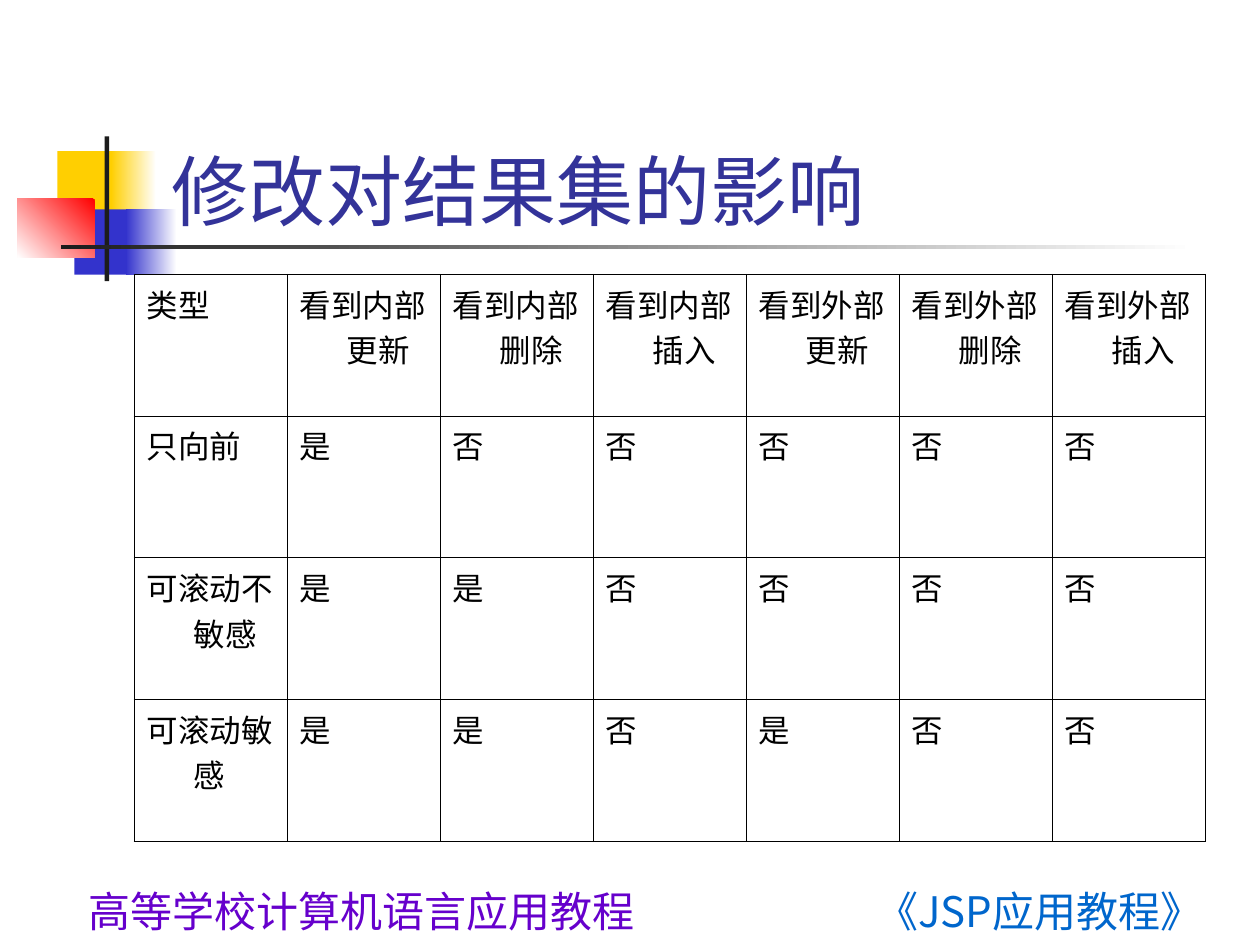
from lxml import etree
from pptx import Presentation
from pptx.dml.color import RGBColor
from pptx.enum.shapes import MSO_SHAPE
from pptx.enum.text import MSO_ANCHOR, PP_ALIGN
from pptx.oxml.ns import qn
from pptx.util import Cm, Pt

RECT = MSO_SHAPE.RECTANGLE
LEFT, CENTER = PP_ALIGN.LEFT, PP_ALIGN.CENTER
BOTTOM = MSO_ANCHOR.BOTTOM
CJK_FONT = "Noto Sans CJK SC"
COLORS = {
    "white": "FFFFFF", "yellow": "FFCF01", "blue": "3333CC", "red": "FF0000",
    "dark": "1C1C1C", "title": "333399", "book": "0066CC",
    "series": "6600CC", "black": "000000",
}


def format_text(paragraph, size, font, color):
    for run in paragraph.runs:
        run.font.size = Pt(size)
        run.font.name = font
        run.font.color.rgb = RGBColor.from_string(COLORS[color])
        east_asian = etree.SubElement(run.font._element, qn("a:ea"))
        east_asian.set("typeface", CJK_FONT)


def add_border(cell, width, color):
    properties = cell._tc.get_or_add_tcPr()
    for index, side in enumerate(("lnL", "lnR", "lnT", "lnB")):
        line = etree.Element(qn(f"a:{side}"), w=str(Pt(width)))
        fill = etree.SubElement(line, qn("a:solidFill"))
        etree.SubElement(fill, qn("a:srgbClr"), val=COLORS[color])
        properties.insert(index, line)


presentation = Presentation()
presentation.slide_width, presentation.slide_height = Cm(25.4), Cm(19.05)
slide = presentation.slides.add_slide(presentation.slide_layouts[5])
shapes = slide.shapes

# Coloured blocks and crossing bars: left, top, width, height, colours, angle
decorations = [
    (1.16, 3.05, 1.22, 1.32, ["yellow"], 0),
    (2.24, 3.05, 0.91, 1.32, ["white", "yellow"], 180),
    (1.5, 4.22, 1.17, 1.32, ["blue"], 0),
    (2.54, 4.22, 1.02, 1.32, ["white", "blue"], 180),
    (0.35, 4.01, 1.56, 1.18, ["red", "white"], 225),
    (2.11, 2.75, 0.09, 2.92, ["dark"], 0),
    (1.23, 4.94, 22.86, 0.09, ["white", "dark"], 180),
]
for left, top, width, height, names, angle in decorations:
    block = shapes.add_shape(RECT, Cm(left), Cm(top), Cm(width), Cm(height))
    block.shadow.inherit = False
    block.line.fill.background()
    if len(names) == 1:
        block.fill.solid()
        block.fill.fore_color.rgb = RGBColor.from_string(COLORS[names[0]])
    else:
        block.fill.gradient()
        block.fill.gradient_angle = angle
        for stop, name in zip(block.fill.gradient_stops, names):
            stop.color.rgb = RGBColor.from_string(COLORS[name])

# Footer lines
footers = [
    ("《JSP应用教程》", 16.51, 8.89, "book"),
    ("高等学校计算机语言应用教程", 0.89, 12.8, "series"),
]
for wording, left, width, color in footers:
    footer = shapes.add_textbox(Cm(left), Cm(17.73), Cm(width), Cm(1.32))
    footer.text_frame.word_wrap = True
    footer.text_frame.text = wording
    footer_line = footer.text_frame.paragraphs[0]
    footer_line.alignment = CENTER
    format_text(footer_line, 24, CJK_FONT, color)

# Title, in front of the blocks
title = shapes.title
shapes._spTree.append(title._element)
title.left, title.top = Cm(3.2), Cm(1.7)
title.width, title.height = Cm(21.64), Cm(3.18)
title.text_frame.text = "修改对结果集的影响"
title.text_frame.vertical_anchor = BOTTOM
title.text_frame.paragraphs[0].alignment = LEFT
format_text(title.text_frame.paragraphs[0], 44, "Lato", "title")

# Visibility table
rows = [
    ["类型", "看到内部更新", "看到内部删除", "看到内部插入",
     "看到外部更新", "看到外部删除", "看到外部插入"],
    ["只向前", *"是否否否否否"],
    ["可滚动不敏感", *"是是否否否否"],
    ["可滚动敏感", *"是是否是否否"],
]
table = shapes.add_table(len(rows), len(rows[0]), Cm(2.7), Cm(5.53),
                         Cm(21.6), Cm(11.43)).table
table.first_row = table.horz_banding = False
for row, values in zip(table.rows, rows):
    for cell, value in zip(row.cells, values):
        cell.fill.background()
        add_border(cell, 0.45, "black")
        cell.text_frame.text = value
        entry = cell.text_frame.paragraphs[0]
        indent = entry._p.get_or_add_pPr()
        indent.set("marL", str(Cm(0.95)))
        indent.set("indent", str(Cm(-0.95)))
        format_text(entry, 18, "Times New Roman", "black")

presentation.save("out.pptx")
